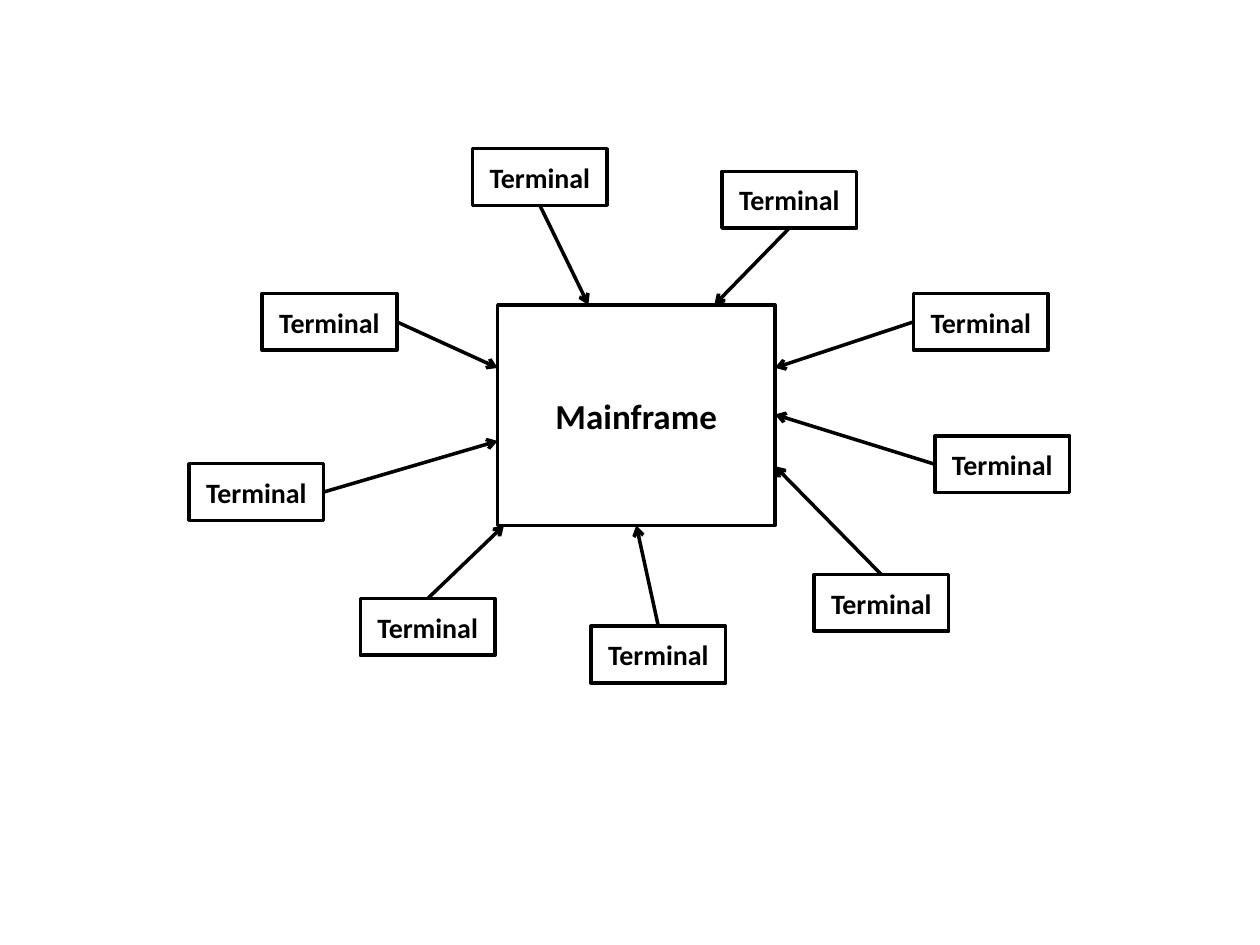
import pptx
import pptx.util
import pptx.dml.color
import pptx.enum.shapes
import pptx.enum.text
import pptx.oxml

Inches = pptx.util.Inches
TOP, LEFT, BOTTOM, RIGHT = range(4)


def rgb(value):
    return pptx.dml.color.RGBColor.from_string(value)


def write(tf, text, size=16, bold=True, color="000000", font="Calibri"):
    tf.vertical_anchor = pptx.enum.text.MSO_ANCHOR.MIDDLE
    p = tf.paragraphs[0]
    p.alignment = pptx.enum.text.PP_ALIGN.CENTER
    r = p.add_run()
    r.text = text
    r.font.name = font
    r.font.size = pptx.util.Pt(size)
    r.font.bold = bold
    r.font.color.rgb = rgb(color)


class Diagram:
    ink = "000000"
    line_width = 2

    def __init__(self, s):
        self.s = s

    def outline(self, sp):
        sp.line.color.rgb = rgb(self.ink)
        sp.line.width = pptx.util.Pt(self.line_width)

    def box(self, text, x, y, w, h, size):
        sp = self.s.shapes.add_shape(
            pptx.enum.shapes.MSO_SHAPE.RECTANGLE,
            Inches(x), Inches(y), Inches(w), Inches(h))
        sp.shadow.inherit = False
        sp.fill.background()
        self.outline(sp)
        write(sp.text_frame, text, size=size, color=self.ink)
        return sp

    def arrow(self, source, side, x, y):
        cx = self.s.shapes.add_connector(
            pptx.enum.shapes.MSO_CONNECTOR.STRAIGHT,
            0, 0, Inches(x), Inches(y))
        cx.begin_connect(source, side)
        self.outline(cx)
        ns = pptx.oxml.ns.nsdecls("a")
        ln = cx.line._get_or_add_ln()
        ln.append(pptx.oxml.parse_xml(f'<a:tailEnd {ns} type="arrow"/>'))
        cx._element.spPr.append(pptx.oxml.parse_xml(f"<a:effectLst {ns}/>"))


def main():
    prs = pptx.Presentation()
    prs.slide_width, prs.slide_height = Inches(10), Inches(7.5)
    d = Diagram(prs.slides.add_slide(prs.slide_layouts[6]))

    x, y, w, h = 3.95, 2.42, 2.2, 1.75
    right, bottom = x + w, y + h
    d.box("Mainframe", x, y, w, h, 20)

    terminals = [
        (3.75, 1.18, BOTTOM, 4.67, y),
        (5.73, 1.36, BOTTOM, 5.67, y),
        (7.25, 2.33, LEFT, right, 2.92),
        (7.42, 3.46, LEFT, right, 3.29),
        (6.46, 4.56, TOP, right, 3.7),
        (4.69, 4.97, TOP, x + w / 2, bottom),
        (2.86, 4.75, TOP, 4, bottom),
        (1.5, 3.68, RIGHT, x, 3.5),
        (2.08, 2.33, RIGHT, x, 2.92),
    ]
    for left, top, side, end_x, end_y in terminals:
        sp = d.box("Terminal", left, top, 1.07, 0.45, 16)
        d.arrow(sp, side, end_x, end_y)

    prs.save("out.pptx")


if __name__ == "__main__":
    main()
